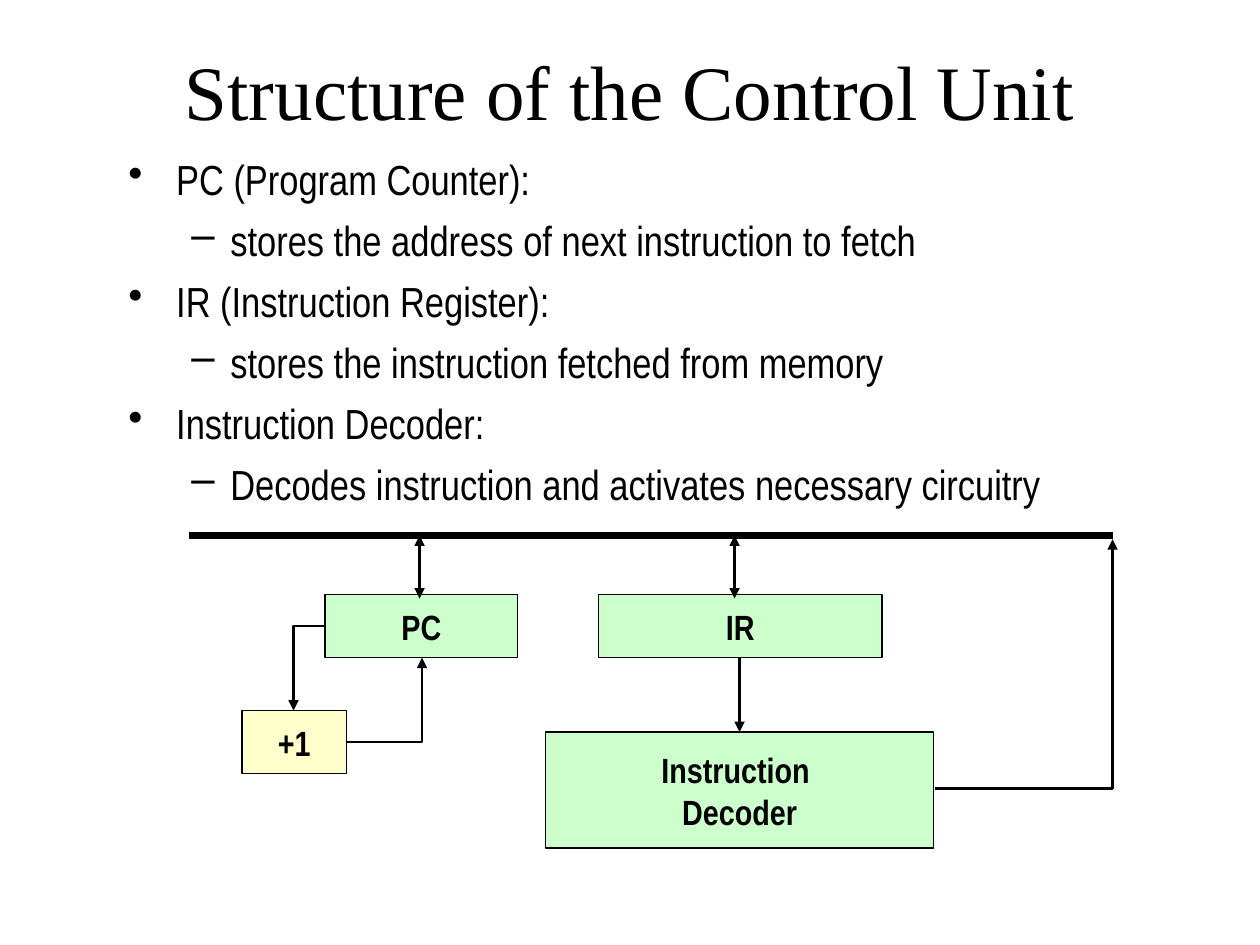
from lxml.etree import SubElement
from pptx import Presentation
from pptx.dml.color import RGBColor
from pptx.enum.shapes import MSO_CONNECTOR, MSO_SHAPE
from pptx.enum.text import MSO_ANCHOR, MSO_AUTO_SIZE, PP_ALIGN
from pptx.oxml.ns import qn
from pptx.util import Inches, Pt

BLACK = RGBColor(0x00, 0x00, 0x00)
GREEN = RGBColor(0xCC, 0xFF, 0xCC)
YELLOW = RGBColor(0xFF, 0xFF, 0xCC)

TITLE_FONT = {"name": "Times New Roman", "size": Pt(44)}
BODY_FONT = {"name": "Arial Narrow", "size": Pt(24)}
LABEL_FONT = {"name": "Arial Narrow", "size": Pt(20), "bold": True}


def format_font(font, values):
    for name, value in values.items():
        setattr(font, name, value)
    font.color.rgb = BLACK


def add_line(page, start, end, width=1.5, arrows=("tailEnd",), bent=False):
    kind = MSO_CONNECTOR.ELBOW if bent else MSO_CONNECTOR.STRAIGHT
    points = [Inches(value) for value in (*start, *end)]
    connector = page.shapes.add_connector(kind, *points)
    connector.line.color.rgb = BLACK
    connector.line.width = Pt(width)
    properties = connector._element.spPr
    if bent:
        properties.find(qn("a:prstGeom")).set("prst", "bentConnector2")
    outline = properties.find(qn("a:ln"))
    for arrow in arrows:
        SubElement(outline, qn(f"a:{arrow}"), type="triangle")
    SubElement(properties, qn("a:effectLst"))


deck = Presentation()
deck.slide_width = Inches(10)
deck.slide_height = Inches(7.5)
page = deck.slides.add_slide(deck.slide_layouts[5])

title = page.shapes.title
title.left, title.top = Inches(0.75), Inches(0.42)
title.width, title.height = Inches(8.5), Inches(0.58)
title.text_frame.text = "Structure of the Control Unit"
title.text_frame.auto_size = MSO_AUTO_SIZE.NONE
title.text_frame.vertical_anchor = MSO_ANCHOR.MIDDLE
title.text_frame.paragraphs[0].alignment = PP_ALIGN.CENTER
format_font(title.text_frame.paragraphs[0].runs[0].font, TITLE_FONT)

LEVELS = [("•", 0.38, -0.38), ("–", 0.81, -0.31)]
POINTS = [
    (0, "PC (Program Counter):"),
    (1, "stores the address of next instruction to fetch"),
    (0, "IR (Instruction Register):"),
    (1, "stores the instruction fetched from memory"),
    (0, "Instruction Decoder:"),
    (1, "Decodes instruction and activates necessary circuitry"),
]
body = page.shapes.add_textbox(Inches(0.92), Inches(1.17), Inches(7.92), Inches(3))
frame = body.text_frame
frame.word_wrap = True
for number, (level, text) in enumerate(POINTS):
    para = frame.add_paragraph() if number else frame.paragraphs[0]
    para.level = level
    para.space_before = Pt(6 if number else 0)
    mark, margin, indent = LEVELS[level]
    properties = para._p.get_or_add_pPr()
    properties.set("marL", str(Inches(margin)))
    properties.set("indent", str(Inches(indent)))
    SubElement(properties, qn("a:buChar"), char=mark)
    span = para.add_run()
    span.text = text
    format_font(span.font, BODY_FONT)

BUS_Y = 4.25
add_line(page, (1.5, BUS_Y), (8.83, BUS_Y), width=4, arrows=())

BLOCKS = [
    (("Instruction ", "Decoder"), 4.33, 5.81, 3.08, 0.92, GREEN),
    (("IR",), 4.75, 4.72, 2.25, 0.5, GREEN),
    (("+1",), 1.92, 5.64, 0.83, 0.5, YELLOW),
    (("PC",), 2.58, 4.72, 1.53, 0.5, GREEN),
]
for lines, left, top, width, height, color in BLOCKS:
    box = page.shapes.add_shape(
        MSO_SHAPE.RECTANGLE, Inches(left), Inches(top), Inches(width), Inches(height)
    )
    box.shadow.inherit = False
    box.fill.solid()
    box.fill.fore_color.rgb = color
    box.line.color.rgb = BLACK
    box.line.width = Pt(0.75)
    frame = box.text_frame
    frame.word_wrap = False
    frame.vertical_anchor = MSO_ANCHOR.MIDDLE
    frame.text = "\n".join(lines)
    for para in frame.paragraphs:
        para.alignment = PP_ALIGN.CENTER
        format_font(para.runs[0].font, LABEL_FONT)

add_line(page, (2.58, 4.97), (2.33, 5.64), bent=True)
add_line(page, (2.75, 5.89), (3.35, 5.22), bent=True)
add_line(page, (5.87, 5.22), (5.87, 5.81))
add_line(page, (7.42, 6.26), (8.83, 4.28), bent=True)
for x in (3.33, 5.83):
    add_line(page, (x, 4.75), (x, BUS_Y), arrows=("headEnd", "tailEnd"))

deck.save("out.pptx")
